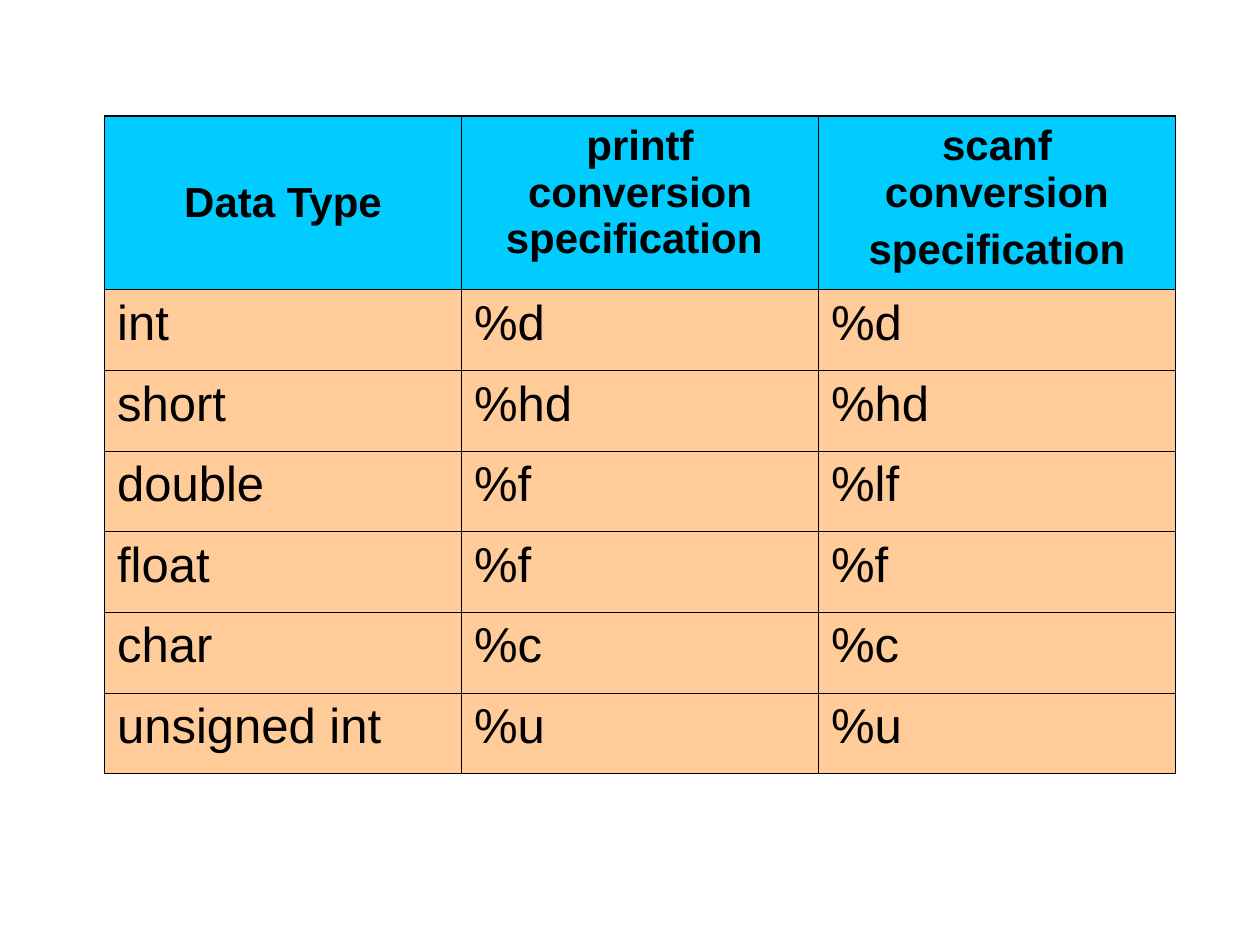
from lxml.etree import SubElement
from pptx import Presentation
from pptx.dml.color import RGBColor
from pptx.enum.text import MSO_ANCHOR, PP_ALIGN
from pptx.oxml.ns import qn
from pptx.util import Inches, Pt

COLORS = {"header": "00CCFF", "body": "FFCC99", "ink": "000000"}
OUTER_LINE, INNER_LINE = Pt(1.08), Pt(0.45)
HEADER_HEIGHT, BODY_HEIGHT = 1.38, 0.64

FORMATS = {
    "header": {
        "cell": {"vertical_anchor": MSO_ANCHOR.TOP},
        "para": {"alignment": PP_ALIGN.CENTER, "space_before": Pt(6)},
        "font": {"name": "Arial", "size": Pt(24), "bold": True},
    },
    "body": {
        "cell": {"vertical_anchor": MSO_ANCHOR.TOP},
        "para": {"alignment": PP_ALIGN.LEFT, "space_before": Pt(7)},
        "font": {"name": "Arial", "size": Pt(28), "bold": False},
    },
}

SPECIFICATIONS = [
    ["Data Type", "printf conversion specification ", "scanf conversion\nspecification"],
    ["int", "%d", "%d"],
    ["short", "%hd", "%hd"],
    ["double", "%f", "%lf"],
    ["float", "%f", "%f"],
    ["char", "%c", "%c"],
    ["unsigned int", "%u", "%u"],
]


def apply_format(target, values):
    for name, value in values.items():
        setattr(target, name, value)


class SlideBuilder:
    def __init__(self, page, colors, formats):
        self.page = page
        self.colors = colors
        self.formats = formats

    def color(self, name):
        return RGBColor.from_string(self.colors[name])

    def table(self, rows, left, top, width, heights):
        frame = self.page.shapes.add_table(
            len(rows), len(rows[0]), Inches(left), Inches(top),
            Inches(width), Inches(sum(heights)))
        table = frame.table
        apply_format(table, {"first_row": False, "horz_banding": False})
        last_row, last_column = len(rows) - 1, len(rows[0]) - 1
        for r, (texts, height) in enumerate(zip(rows, heights)):
            table.rows[r].height = Inches(height)
            for c, text in enumerate(texts):
                cell = table.cell(r, c)
                outer_sides = {"L": c == 0, "R": c == last_column,
                               "T": r == 0, "B": r == last_row}
                self.borders(cell, outer_sides)
                self.fill_cell(cell, text, "header" if r == 0 else "body")
        return table

    def borders(self, cell, outer_sides):
        """Draw the four sides, heavier where the side is on the table's edge."""
        properties = cell._tc.get_or_add_tcPr()
        for side, is_outer in outer_sides.items():
            width = OUTER_LINE if is_outer else INNER_LINE
            line = SubElement(properties, qn(f"a:ln{side}"), w=str(width))
            fill = SubElement(line, qn("a:solidFill"))
            SubElement(fill, qn("a:srgbClr"), val=self.colors["ink"])

    def fill_cell(self, cell, text, kind):
        values = self.formats[kind]
        cell.fill.solid()
        cell.fill.fore_color.rgb = self.color(kind)
        cell.text = text
        apply_format(cell, values["cell"])
        for para in cell.text_frame.paragraphs:
            apply_format(para, values["para"])
            for span in para.runs:
                apply_format(span.font, values["font"])
                span.font.color.rgb = self.color("ink")


def main():
    deck = Presentation()
    deck.slide_width, deck.slide_height = Inches(10), Inches(7.5)
    page = deck.slides.add_slide(deck.slide_layouts[6])
    builder = SlideBuilder(page, COLORS, FORMATS)
    heights = [HEADER_HEIGHT] + [BODY_HEIGHT] * (len(SPECIFICATIONS) - 1)
    table = builder.table(SPECIFICATIONS, 0.83, 0.92, 8.5, heights)
    table.cell(0, 0).vertical_anchor = MSO_ANCHOR.MIDDLE
    deck.save("out.pptx")


if __name__ == "__main__":
    main()
